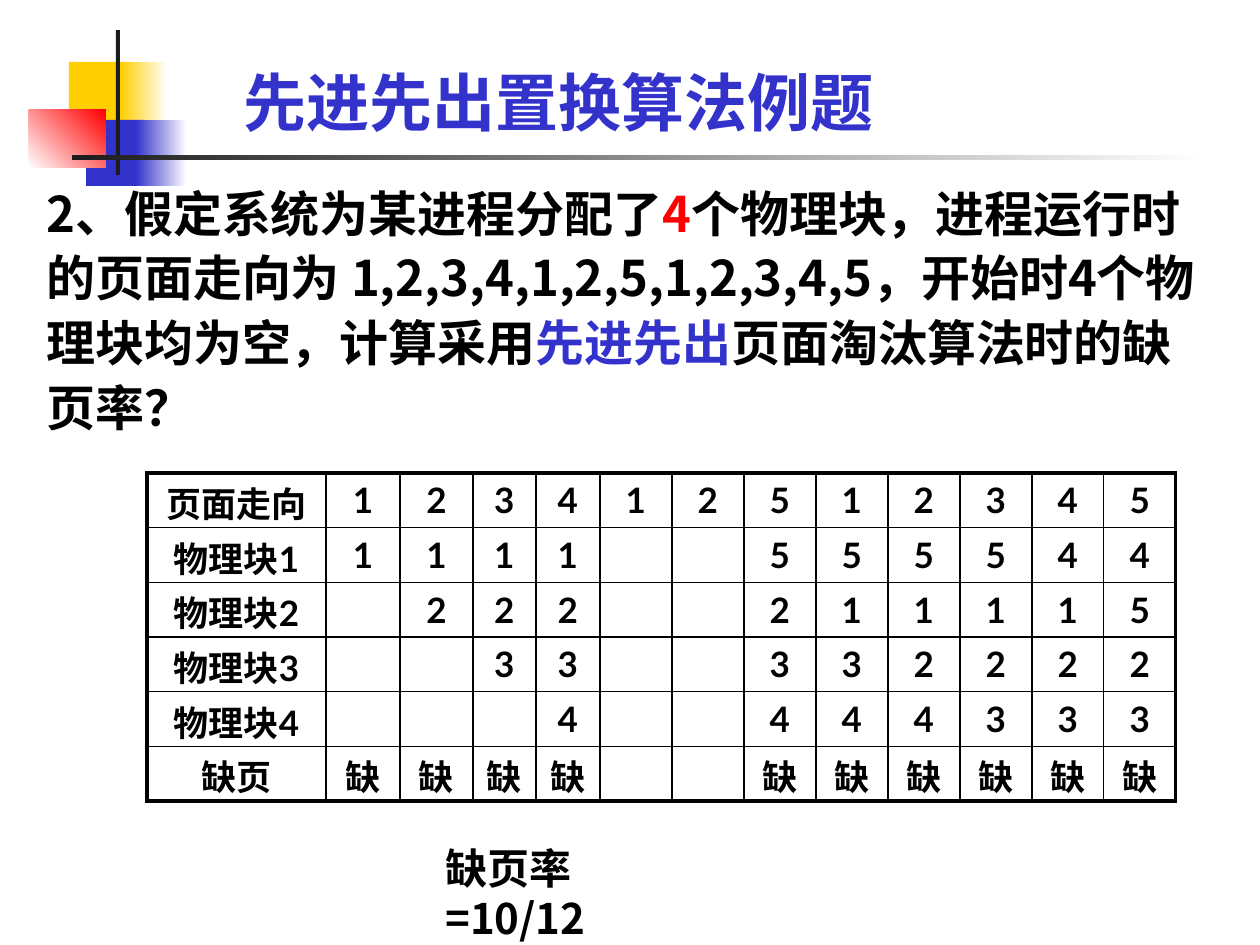
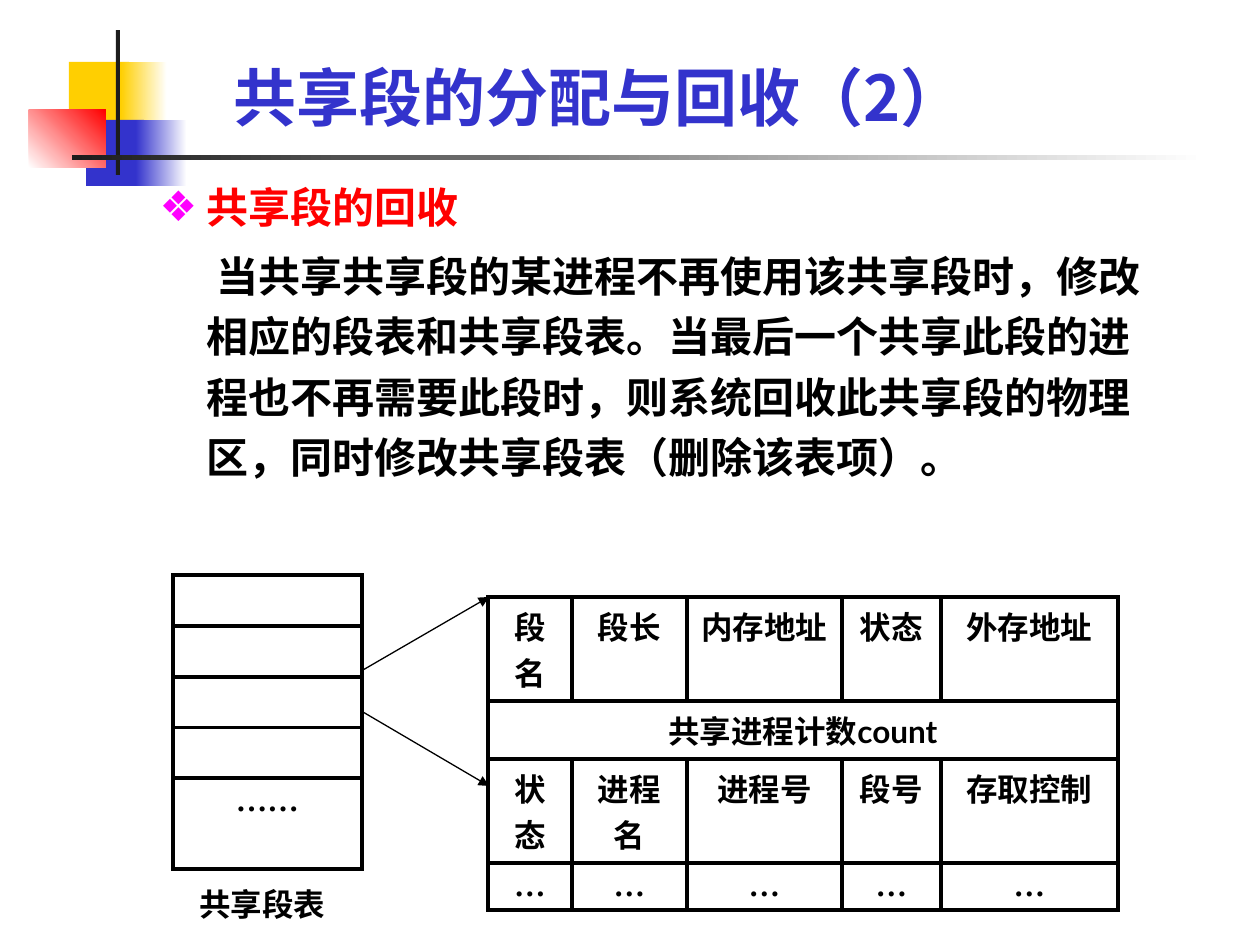
from lxml.etree import SubElement
from pptx import Presentation
from pptx.dml.color import RGBColor
from pptx.enum.shapes import MSO_CONNECTOR as Connector, MSO_SHAPE as Shape
from pptx.enum.text import MSO_ANCHOR as Anchor, MSO_AUTO_SIZE as AutoSize, PP_ALIGN as Align
from pptx.oxml.ns import qn
from pptx.util import Emu, Pt

COLORS = {"ink": "000000", "blue": "3333CC", "red": "FF0000", "yellow": "FFCF01",
          "rule": "1C1C1C", "white": "FFFFFF", "bullet": "FF00FF"}
RGB = {name: RGBColor.from_string(value) for name, value in COLORS.items()}
LATO, CJK, TIMES = "Lato", "Noto Sans CJK SC", "Times New Roman"


def px(*lengths):
    return [Emu(round(length * 914400 / 126)) for length in lengths]


def write(paragraph, pieces, size, font, layout):
    """Add (text, colour) pieces as bold runs, then set the paragraph format."""
    for text, color in pieces:
        run = paragraph.add_run()
        run.text = text
        for name, value in {"size": Pt(size), "bold": True, "name": font}.items():
            setattr(run.font, name, value)
        run.font.color.rgb = RGB[color]
        SubElement(run.font._element, qn("a:ea"), typeface=TIMES if font == TIMES else CJK)
    for name, value in layout.items():
        setattr(paragraph, name, value)


prs = Presentation()
prs.slide_width, prs.slide_height = px(1260, 945)
fifo = prs.slides.add_slide(prs.slide_layouts[5])
recycling = prs.slides.add_slide(prs.slide_layouts[1])

# Corner blocks and rules, shared through the master
ornaments = [
    (69, 62, 60, 66, ["yellow"], 0),
    (121, 62, 46, 66, ["yellow", "white"], 0),
    (86, 120, 58, 66, ["blue"], 0),
    (136, 120, 51, 66, ["blue", "white"], 0),
    (29, 110, 77, 58, ["white", "red"], 45),
    (116, 30, 4, 145, ["rule"], 0),
    (72, 155, 1134, 5, ["rule", "white"], 0),
]
for depth, (left, top, width, height, tints, angle) in enumerate(ornaments, start=2):
    ornament = fifo.shapes.add_shape(Shape.RECTANGLE, *px(left, top, width, height))
    ornament.shadow.inherit = False
    ornament.line.fill.background()
    if len(tints) == 1:
        ornament.fill.solid()
        ornament.fill.fore_color.rgb = RGB[tints[0]]
    else:
        ornament.fill.gradient()
        ornament.fill.gradient_angle = angle
        for stop, tint in zip(ornament.fill.gradient_stops, tints):
            stop.color.rgb = RGB[tint]
    prs.slide_master.shapes.element.insert(depth, ornament.element)

# Titles
titles = [
    (fifo, "先进先出置换算法例题", LATO, (231, 59, 835, 86)),
    (recycling, "共享段的分配与回收（2）", CJK, (221, 65, 906, 75)),
]
for slide, wording, font, box in titles:
    title = slide.shapes.title
    title.left, title.top, title.width, title.height = px(*box)
    for name, value in {"word_wrap": True, "auto_size": AutoSize.NONE,
                        "vertical_anchor": Anchor.BOTTOM}.items():
        setattr(title.text_frame, name, value)
    write(title.text_frame.paragraphs[0], [(wording, "blue")], 36, font,
          {"alignment": Align.LEFT})

# Question, answer and caption
question = [
    ("2、假定系统为某进程分配了", "ink"),
    ("4", "red"),
    ("个物理块，进程运行时的页面走向为 1,2,3,4,1,2,5,1,2,3,4,5，"
     "开始时4个物理块均为空，计算采用", "ink"),
    ("先进先出", "blue"),
    ("页面淘汰算法时的缺页率？", "ink"),
]
notes = [
    (fifo, (34, 171, 1191, 272), question, 28, CJK, {"line_spacing": Pt(37)}),
    (fifo, (433, 837, 280, 63), [("缺页率=10/12", "ink")], 24, CJK,
     {"line_spacing": Pt(28.6)}),
    (recycling, (187, 879, 179, 50), [("共享段表", "ink")], 18, LATO, {}),
]
for slide, box, pieces, size, font, layout in notes:
    frame = slide.shapes.add_textbox(*px(*box)).text_frame
    frame.word_wrap = True
    write(frame.paragraphs[0], pieces, size, font, layout)

# Explanation of recycling
body = recycling.placeholders[1]
body.left, body.top, body.width, body.height = px(147, 165, 1016, 309)
explanation = body.text_frame
explanation.auto_size = AutoSize.NONE
points = [
    ("共享段的回收", "red", -47, 0),
    ("当共享共享段的某进程不再使用该共享段时，修改相应的段表和共享段表。"
     "当最后一个共享此段的进程也不再需要此段时，则系统回收此共享段的物理区，"
     "同时修改共享段表（删除该表项）。", "ink", 10, 4.6),
]
for index, (wording, color, first_indent, gap) in enumerate(points):
    point = explanation.add_paragraph() if index else explanation.paragraphs[0]
    properties = point._p.get_or_add_pPr()
    for name, length in zip(("marL", "indent"), px(47, first_indent)):
        properties.set(name, str(length))
    if first_indent < 0:
        bullet_color = SubElement(properties, qn("a:buClr"))
        SubElement(bullet_color, qn("a:srgbClr"), val=COLORS["bullet"])
        SubElement(properties, qn("a:buChar"), char="❖")
    else:
        SubElement(properties, qn("a:buNone"))
    write(point, [(wording, color)], 24, CJK,
          {"line_spacing": Pt(34.6), "space_before": Pt(gap)})

# Tables: page trace, shared segment table, one entry of it
page_trace = [
    ["页面走向", *"123412512345"],
    ["物理块1", *"1111", "", "", *"555544"],
    ["物理块2", "", *"222", "", "", *"211115"],
    ["物理块3", "", "", *"33", "", "", *"332222"],
    ["物理块4", "", "", "", "4", "", "", *"444333"],
    ["缺页", *"缺缺缺缺", "", "", *"缺缺缺缺缺缺"],
]
segment_table = [[""], [""], [""], [""], ["……"]]
segment_entry = [
    ["段名", "段长", "内存地址", "状态", "外存地址"],
    ["共享进程计数count", "", "", "", ""],
    ["状态", "进程名", "进程号", "段号", "存取控制"],
    ["…"] * 5,
]
tables = [
    (fifo, (147, 473), [179, 74, 73, 63, 64] + [72] * 8, [54] * 6, page_trace, 20, 1),
    (recycling, (173, 575), [189], [51, 51, 50, 50, 91], segment_table, 18, 2.25),
    (recycling, (488, 597), [84, 115, 155, 99, 177], [104, 58, 104, 47],
     segment_entry, 18, 2.25),
]
for slide, corner, widths, heights, rows, size, inner_line in tables:
    table = slide.shapes.add_table(len(rows), len(widths),
                                   *px(*corner, sum(widths), sum(heights))).table
    table.first_row = table.horz_banding = False
    for column, width in zip(table.columns, px(*widths)):
        column.width = width
    for row, height in zip(table.rows, px(*heights)):
        row.height = height
    for r, row in enumerate(rows):
        for c, wording in enumerate(row):
            cell = table.cell(r, c)
            edges = {"L": c == 0, "R": c == len(row) - 1,
                     "T": r == 0, "B": r == len(rows) - 1}
            borders = cell._tc.get_or_add_tcPr()
            for side, outer in edges.items():
                border = SubElement(borders, qn(f"a:ln{side}"),
                                    w=str(Pt(2.25 if outer else inner_line)))
                paint = SubElement(border, qn("a:solidFill"))
                SubElement(paint, qn("a:srgbClr"), val=COLORS["ink"])
            cell.fill.background()
            if not wording:
                continue
            layout = {"alignment": Align.CENTER}
            if rows is page_trace and not wording.isdigit():
                layout["line_spacing"] = Pt(24)
                cell.margin_top, cell.margin_bottom = Pt(7.2), Pt(0)
            if "…" in wording:
                layout["line_spacing"] = Pt(19.6)
            write(cell.text_frame.paragraphs[0], [(wording, "ink")], size,
                  TIMES if "…" in wording else LATO, layout)
    if rows is segment_entry:
        table.cell(1, 0).merge(table.cell(1, 4))

# Arrows from the segment table to its entry
for start_y, end_y in [(670, 597), (712, 786)]:
    arrow = recycling.shapes.add_connector(Connector.STRAIGHT,
                                           *px(363, start_y, 489, end_y))
    arrow.line.color.rgb = RGB["ink"]
    arrow.line.width = Pt(0.75)
    SubElement(arrow.line._get_or_add_ln(), qn("a:tailEnd"), type="triangle")
    SubElement(arrow._element.spPr, qn("a:effectLst"))

prs.save("out.pptx")
